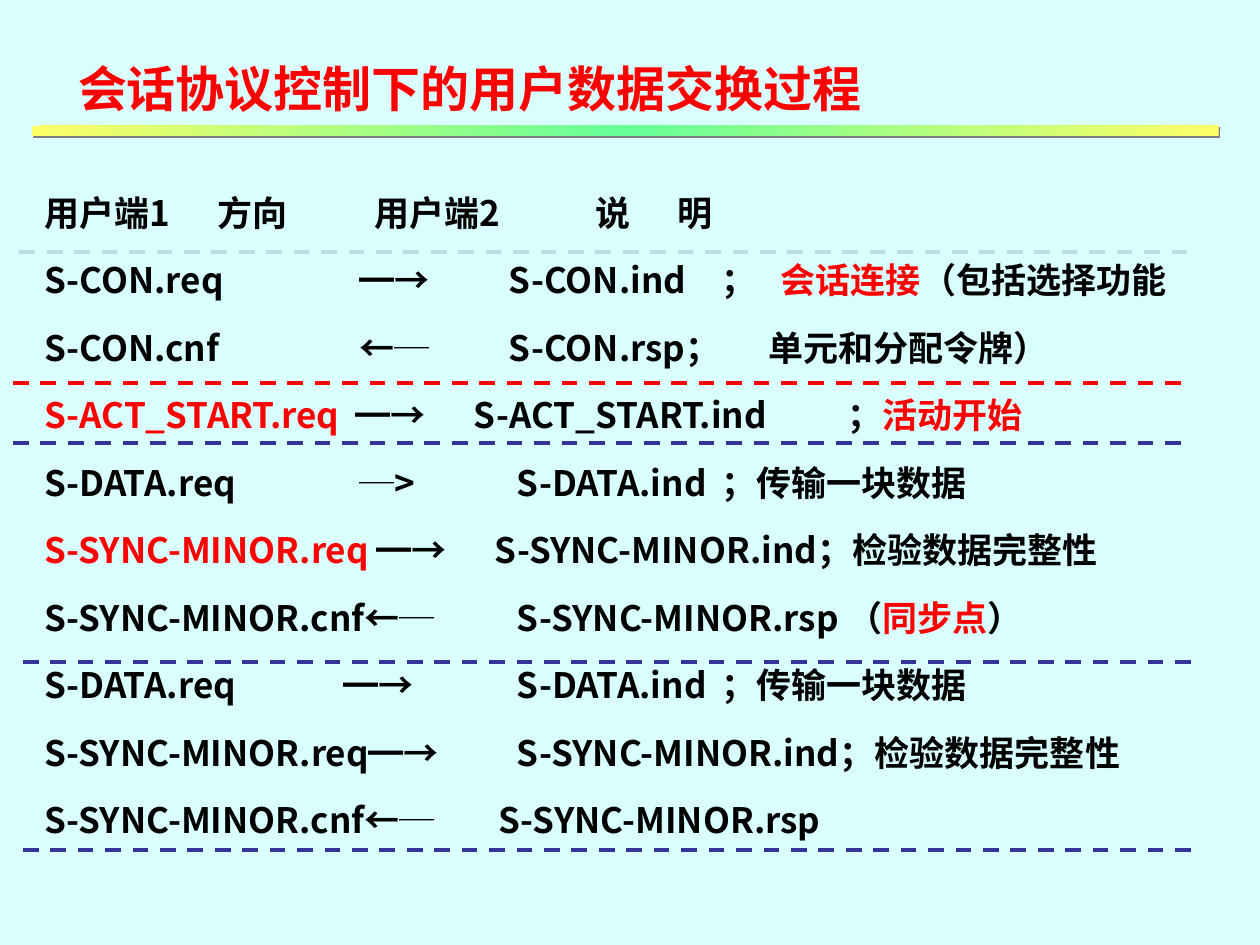
from dataclasses import dataclass

from pptx import Presentation
from pptx.dml.color import RGBColor
from pptx.enum.dml import MSO_LINE
from pptx.enum.shapes import MSO_CONNECTOR, MSO_SHAPE
from pptx.enum.text import MSO_ANCHOR, MSO_AUTO_SIZE, PP_ALIGN
from pptx.oxml import parse_xml
from pptx.oxml.ns import nsdecls, qn
from pptx.util import Cm, Pt
from lxml.etree import SubElement


@dataclass(frozen=True)
class Theme:
    font: str = "Noto Sans CJK SC"
    background: str = "D9FFFF"
    text: str = "000000"
    accent: str = "FF0000"
    divider: str = "333399"
    pale: str = "BBE0E3"
    bar_edge: str = "FFFF66"
    bar_middle: str = "66FF99"
    shadow: str = "808080"
    title_size: int = 28
    body_size: int = 20


THEME = Theme()

# Each row: text with accented parts between bars, and its tab stops in cm
ROWS = [
    ("用户端1\t方向\t用户端2\t说\t明", (3.5, 6.66, 11.11, 12.76)),
    ("S-CON.req\t━→\tS-CON.ind\t；\t|会话连接|（包括选择功能", (6.35, 9.37, 13.65, 14.85)),
    ("S-CON.cnf\t←─\tS-CON.rsp；\t单元和分配令牌）", (6.35, 9.37, 14.6)),
    ("|S-ACT_START.req|\t━→\tS-ACT_START.ind\t；|活动开始", (6.27, 8.66, 16.19)),
    ("S-DATA.req\t─>\tS-DATA.ind\t；传输一块数据", (6.35, 9.53, 13.65)),
    ("|S-SYNC-MINOR.req|\t━→\tS-SYNC-MINOR.ind；检验数据完整性", (6.7, 9.08)),
    ("S-SYNC-MINOR.cnf←─\tS-SYNC-MINOR.rsp\t（|同步点|）", (9.53, 16.19)),
    ("S-DATA.req\t━→\tS-DATA.ind\t；传输一块数据", (6.03, 9.53, 13.65)),
    ("S-SYNC-MINOR.req━→\tS-SYNC-MINOR.ind；检验数据完整性", (9.53,)),
    ("S-SYNC-MINOR.cnf←─\tS-SYNC-MINOR.rsp", (9.16,)),
]

# Dashed dividers: left and top in cm, colour
DIVIDERS = [
    (0.43, 5.08, THEME.pale),
    (0.3, 7.72, THEME.accent),
    (0.3, 8.93, THEME.divider),
    (0.5, 13.34, THEME.divider),
    (0.5, 17.13, THEME.divider),
]
DIVIDER_WIDTH = 23.5


def apply_format(target, values):
    for name, value in values.items():
        setattr(target, name, value)


def add_span(para, text, size, color):
    span = para.add_run()
    span.text = text
    span.font.color.rgb = RGBColor.from_string(color)
    apply_format(span.font, {"size": Pt(size), "bold": True, "name": THEME.font})
    SubElement(span.font._element, qn("a:ea"), typeface=THEME.font)


def add_tab_stops(para, stops):
    tab_list = SubElement(para._p.get_or_add_pPr(), qn("a:tabLst"))
    for stop in stops:
        SubElement(tab_list, qn("a:tab"), pos=str(Cm(stop)), algn="l")


def add_title(page, text):
    title = page.shapes.title
    apply_format(title, {"left": Cm(1.32), "top": Cm(1.05),
                         "width": Cm(17), "height": Cm(1.45)})
    apply_format(title.text_frame, {"word_wrap": True,
                                    "auto_size": MSO_AUTO_SIZE.NONE,
                                    "vertical_anchor": MSO_ANCHOR.TOP})
    para = title.text_frame.paragraphs[0]
    apply_format(para, {"alignment": PP_ALIGN.LEFT, "space_before": Pt(0)})
    add_span(para, text, THEME.title_size, THEME.accent)


def add_exchange_rows(page, rows):
    box = page.shapes.add_textbox(Cm(0.64), Cm(3.39), Cm(24.26), Cm(17.25))
    frame = box.text_frame
    apply_format(frame, {"word_wrap": True, "vertical_anchor": MSO_ANCHOR.TOP})
    for index, (text, stops) in enumerate(rows):
        para = frame.add_paragraph() if index else frame.paragraphs[0]
        add_tab_stops(para, stops)
        apply_format(para, {"line_spacing": 1.4, "space_before": Pt(5 if index else 0)})
        for part, words in enumerate(text.split("|")):
            if words:
                color = THEME.accent if part % 2 else THEME.text
                add_span(para, words, THEME.body_size, color)


def add_title_bar(page):
    bar = page.shapes.add_shape(MSO_SHAPE.RECTANGLE, Cm(0.64), Cm(2.54), Cm(23.93), Cm(0.2))
    bar.line.fill.background()
    bar.fill.gradient()
    bar.fill.gradient_angle = 135
    stops = bar._element.spPr.find(".//" + qn("a:gsLst"))
    stops.clear()
    colors = (THEME.bar_edge, THEME.bar_middle, THEME.bar_edge)
    for position, color in zip((0, 50000, 100000), colors):
        stop = SubElement(stops, qn("a:gs"), pos=str(position))
        SubElement(stop, qn("a:srgbClr"), val=color)
    bar._element.spPr.append(parse_xml(
        f'<a:effectLst {nsdecls("a")}><a:outerShdw dist="{Pt(1.4)}" dir="2700000" '
        f'algn="ctr" rotWithShape="0"><a:srgbClr val="{THEME.shadow}"/>'
        '</a:outerShdw></a:effectLst>'))


def add_divider(page, left, top, color):
    divider = page.shapes.add_connector(
        MSO_CONNECTOR.STRAIGHT, Cm(left), Cm(top), Cm(left + DIVIDER_WIDTH), Cm(top))
    divider.line.color.rgb = RGBColor.from_string(color)
    apply_format(divider.line, {"width": Pt(2.25), "dash_style": MSO_LINE.DASH})
    divider._element.spPr.find(qn("a:ln")).set("cap", "sq")
    SubElement(divider._element.spPr, qn("a:effectLst"))


def main():
    deck = Presentation()
    apply_format(deck, {"slide_width": Cm(25.4), "slide_height": Cm(19.05)})
    page = deck.slides.add_slide(deck.slide_layouts.get_by_name("Title Only"))
    page.background.fill.solid()
    page.background.fill.fore_color.rgb = RGBColor.from_string(THEME.background)

    # Heading
    add_title(page, "会话协议控制下的用户数据交换过程")
    add_title_bar(page)

    # Exchange sequence
    add_exchange_rows(page, ROWS)
    for left, top, color in DIVIDERS:
        add_divider(page, left, top, color)

    deck.save("out.pptx")


if __name__ == "__main__":
    main()
